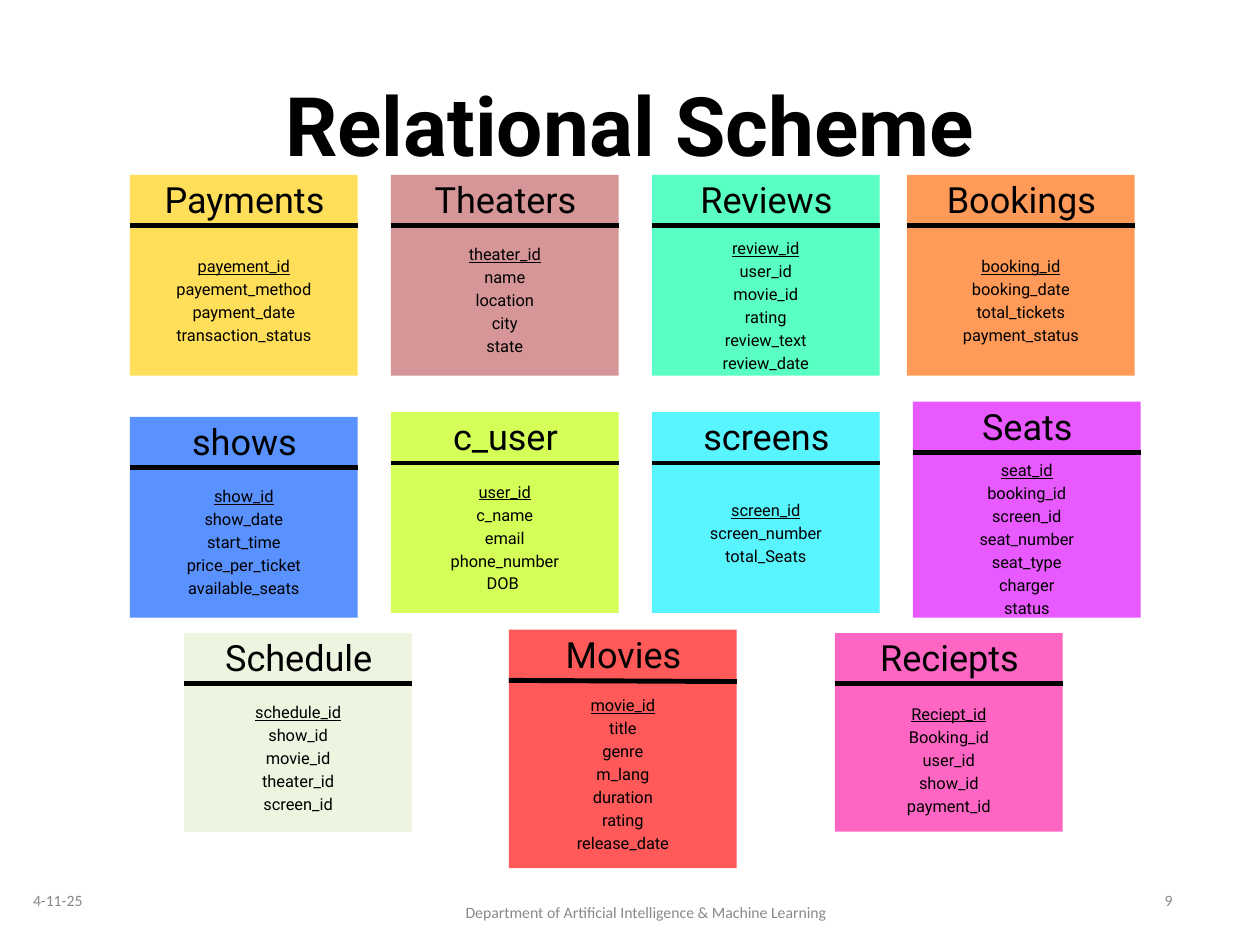
"""Build a slide of relation cards for a cinema booking database."""
from dataclasses import dataclass

from lxml import etree
from pptx import Presentation
from pptx import util as u
from pptx.dml import color
from pptx.enum import shapes, text
from pptx.oxml import ns
from pptx.slide import Slide

EMU_PER_PX = 9144


@dataclass(frozen=True)
class Style:
    font: str
    size: float
    leading: float
    ink: str
    bold: bool = False


@dataclass(frozen=True)
class Theme:
    heading: Style = Style("Roboto", 50, 70, "000000", True)
    name: Style = Style("Roboto", 22, 30.8, "000000")
    field: Style = Style("Roboto", 10, 14, "000000")
    footer: Style = Style("Calibri", 9.6, 11.5, "898989")
    rule: str = "000000"
    rule_weight: float = 3


@dataclass(frozen=True)
class Relation:
    name: str
    left: int
    top: int
    height: int
    fields_top: int
    fill: str
    fields: str
    rule_drop: int = 0


@dataclass(frozen=True)
class Footer:
    label: str
    left: int
    top: int
    width: int
    align: text.PP_ALIGN


THEME = Theme()
CARD_WIDTH = 193
NAME_WIDTH = 248
RULE_OFFSET = 43
COLUMNS = (110, 331, 552)

RELATIONS = (
    Relation("Payments", COLUMNS[0], 148, 170, 214, "FFDE59",
             "payement_id,payement_method,payment_date,transaction_status"),
    Relation("Theaters", COLUMNS[1], 148, 170, 204, "D69597",
             "theater_id,name,location,city,state"),
    Relation("shows", COLUMNS[0], 353, 170, 409, "5991FF",
             "show_id,show_date,start_time,price_per_ticket,available_seats"),
    Relation("Reviews", COLUMNS[2], 148, 170, 199, "59FFC3",
             "review_id,user_id,movie_id,rating,review_text,review_date"),
    Relation("Bookings", 768, 148, 170, 214, "FF9A59",
             "booking_id,booking_date,total_tickets,payment_status"),
    Relation("c_user", COLUMNS[1], 349, 170, 405, "D4FF59",
             "user_id,c_name,email,phone_number,DOB "),
    Relation("screens", COLUMNS[2], 349, 170, 421, "59F5FF",
             "screen_id,screen_number,total_Seats"),
    Relation("Seats", 773, 340, 183, 387, "E859FF",
             "seat_id,booking_id,screen_id,seat_number,seat_type,charger,status"),
    Relation("Movies", 431, 533, 202, 586, "FF5959",
             "movie_id,title,genre,m_lang,duration,rating,release_date", 1),
    Relation("Schedule", 156, 536, 168, 592, "EDF4E0",
             "schedule_id,show_id,movie_id,theater_id,screen_id"),
    Relation("Reciepts", 707, 536, 168, 593, "FF66C4",
             "Reciept_id,Booking_id,user_id,show_id,payment_id"),
)

FOOTERS = (
    Footer("Department of Artificial Intelligence & Machine Learning",
           367, 750, 360, text.PP_ALIGN.CENTER),
    Footer("9", 753, 740, 240, text.PP_ALIGN.RIGHT),
    Footer("4-11-25", 28, 740, 240, text.PP_ALIGN.LEFT),
)


def px(length: int) -> u.Emu:
    return u.Emu(length * EMU_PER_PX)


def rgb(value: str) -> color.RGBColor:
    return color.RGBColor.from_string(value)


def add_text(page: Slide, lines: list[str], left: int, top: int, width: int,
             height: int, style: Style,
             align: text.PP_ALIGN = text.PP_ALIGN.CENTER,
             anchor: text.MSO_ANCHOR = text.MSO_ANCHOR.TOP,
             underline_first: bool = False) -> None:
    box = page.shapes.add_textbox(px(left), px(top), px(width), px(height))
    frame = box.text_frame
    frame.word_wrap = True
    frame.vertical_anchor = anchor
    frame.margin_left = frame.margin_right = 0
    frame.margin_top = frame.margin_bottom = 0
    for index, line in enumerate(lines):
        para = frame.add_paragraph() if index else frame.paragraphs[0]
        para.alignment = align
        para.line_spacing = u.Pt(style.leading)
        span = para.add_run()
        span.text = line
        span.font.name = style.font
        span.font.size = u.Pt(style.size)
        span.font.bold = style.bold
        span.font.underline = underline_first and index == 0
        span.font.color.rgb = rgb(style.ink)


def add_rule(page: Slide, left: int, top: int, drop: int) -> None:
    rule = page.shapes.add_connector(
        shapes.MSO_CONNECTOR.STRAIGHT,
        px(left), px(top), px(left + CARD_WIDTH), px(top + drop))
    rule.line.color.rgb = rgb(THEME.rule)
    rule.line.width = u.Pt(THEME.rule_weight)
    etree.SubElement(rule._element.spPr, ns.qn("a:effectLst"))


def add_relation(page: Slide, relation: Relation) -> None:
    card = page.shapes.add_shape(
        shapes.MSO_SHAPE.RECTANGLE, px(relation.left), px(relation.top),
        px(CARD_WIDTH), px(relation.height))
    card.shadow.inherit = False
    card.fill.solid()
    card.fill.fore_color.rgb = rgb(relation.fill)
    card.line.fill.background()
    name_left = relation.left - (NAME_WIDTH - CARD_WIDTH) // 2
    add_text(page, [relation.name], name_left, relation.top - 4,
             NAME_WIDTH, 41, THEME.name)
    fields = relation.fields.split(",")
    add_text(page, fields, relation.left, relation.fields_top, CARD_WIDTH,
             19 * len(fields), THEME.field, underline_first=True)
    add_rule(page, relation.left, relation.top + RULE_OFFSET, relation.rule_drop)


def main() -> None:
    deck = Presentation()
    deck.slide_width, deck.slide_height = px(1067), px(800)
    page = deck.slides.add_slide(deck.slide_layouts[6])
    add_text(page, ["Relational Scheme"], 218, 49, 631, 94, THEME.heading)
    for relation in RELATIONS:
        add_relation(page, relation)
    for footer in FOOTERS:
        add_text(page, [footer.label], footer.left, footer.top, footer.width, 44,
                 THEME.footer, footer.align, text.MSO_ANCHOR.MIDDLE)
    deck.save("out.pptx")


if __name__ == "__main__":
    main()
